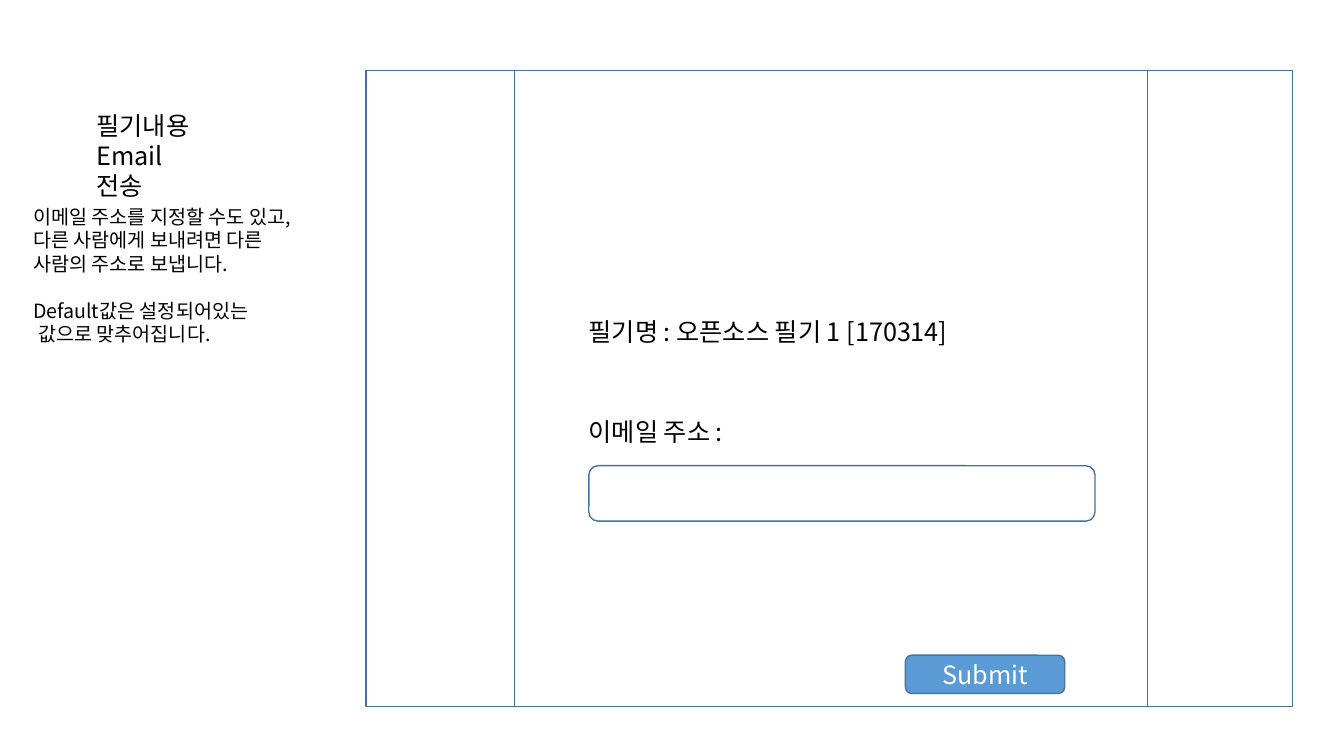
from pptx import Presentation
from pptx.dml.color import RGBColor
from pptx.enum.shapes import MSO_SHAPE
from pptx.enum.text import MSO_ANCHOR, PP_ALIGN
from pptx.oxml.ns import qn
from pptx.util import Inches, Pt
from lxml import etree

RECT, ROUND = MSO_SHAPE.RECTANGLE, MSO_SHAPE.ROUNDED_RECTANGLE
LEFT, CENTER = PP_ALIGN.LEFT, PP_ALIGN.CENTER
TOP, MIDDLE = MSO_ANCHOR.TOP, MSO_ANCHOR.MIDDLE


class Theme:
    font = "Noto Sans CJK KR"
    text = RGBColor(0x00, 0x00, 0x00)
    button_text = RGBColor(0xFF, 0xFF, 0xFF)
    button = RGBColor(0x5B, 0x9B, 0xD5)
    line = RGBColor(0x43, 0x73, 0x9E)
    body, note = 18, 14
    leading = 1.2


def write(s, lines, size=Theme.body, color=Theme.text, align=LEFT, anchor=TOP):
    """Fill a shape with one paragraph per line; \\v breaks a line."""
    tf = s.text_frame
    tf.word_wrap, tf.vertical_anchor = True, anchor
    for i, line in enumerate(lines):
        p = tf.paragraphs[0] if i == 0 else tf.add_paragraph()
        p.text, p.alignment = line, align
        p.line_spacing = Pt(size * Theme.leading)
        for r in p.runs:
            for name, value in {"name": Theme.font, "size": Pt(size)}.items():
                setattr(r.font, name, value)
            r.font.color.rgb = color
            ea = etree.SubElement(r.font._element, qn("a:ea"))
            ea.set("typeface", Theme.font)
    return tf


def add_text(slide, x, y, w, h, lines, **style):
    s = slide.shapes.add_textbox(Inches(x), Inches(y), Inches(w), Inches(h))
    return write(s, lines, **style)


def add_box(slide, kind, x, y, w, h, fill=None):
    s = slide.shapes.add_shape(kind, Inches(x), Inches(y), Inches(w), Inches(h))
    s.shadow.inherit = False
    if fill is None:
        s.fill.background()
    else:
        s.fill.solid()
        s.fill.fore_color.rgb = fill
    s.line.color.rgb, s.line.width = Theme.line, Pt(1)
    return s


def add_description(slide, x, y, w):
    # Heading
    add_text(slide, x + 0.63, y, 1.4, 0.71, ["필기내용", "Email\v전송"])
    # Explanation: two groups, the last line slightly indented
    tf = add_text(slide, x, y + 0.94, w, 1.51, [
        "이메일 주소를 지정할 수도 있고,",
        "다른 사람에게 보내려면 다른",
        "사람의 주소로 보냅니다.",
        "Default값은 설정되어있는",
        "값으로 맞추어집니다.",
    ], size=Theme.note)
    tf.paragraphs[3].space_before = Pt(Theme.note * Theme.leading)
    tf.paragraphs[4]._p.get_or_add_pPr().set("marL", str(Inches(0.05)))


def add_email_screen(slide, x, y, w, h):
    # Screen and its centre panel
    add_box(slide, RECT, x, y, w, h)
    add_box(slide, RECT, x + 1.47, y, 6.28, h)
    # Labels
    for dy, width, label in [(2.39, 4.1, "필기명 : 오픈소스 필기 1 [170314]"),
                             (3.38, 1.7, "이메일 주소 :")]:
        add_text(slide, x + 2.11, y + dy, width, 0.4, [label])
    # Address field
    add_box(slide, ROUND, x + 2.21, y + 3.92, 5.02, 0.55)
    # Submit button
    button = add_box(slide, ROUND, x + 5.35, y + 5.8, 1.58, 0.38, Theme.button)
    write(button, ["Submit"], color=Theme.button_text, align=CENTER, anchor=MIDDLE)


prs = Presentation()
prs.slide_width, prs.slide_height = Inches(13.33), Inches(7.5)
slide = prs.slides.add_slide(prs.slide_layouts[6])
add_description(slide, 0.23, 1.04, 3.07)
add_email_screen(slide, 3.63, 0.7, 9.19, 6.31)
prs.save("out.pptx")
